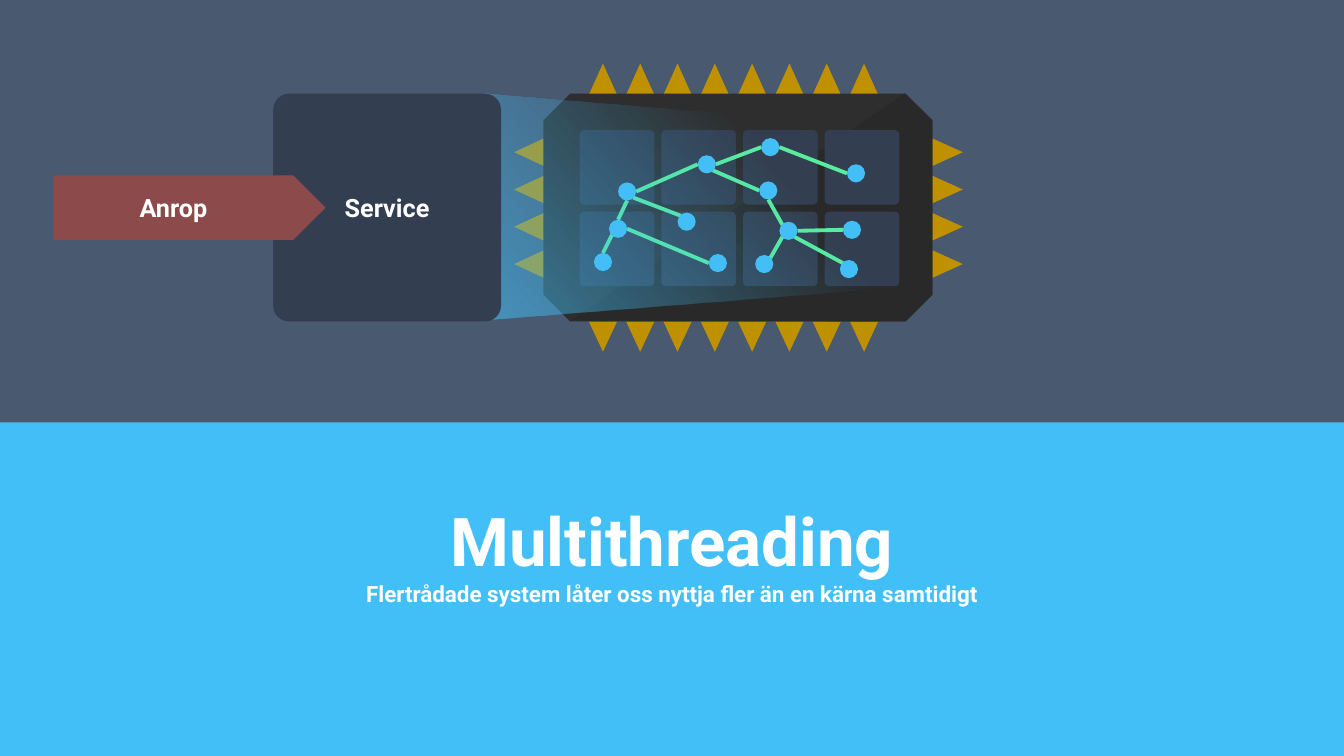
from lxml.etree import SubElement
from pptx import Presentation
from pptx.dml.color import RGBColor
from pptx.enum.shapes import MSO_CONNECTOR, MSO_SHAPE
from pptx.enum.text import MSO_ANCHOR, MSO_AUTO_SIZE, PP_ALIGN
from pptx.oxml.ns import qn
from pptx.util import Inches, Pt

SLATE = RGBColor(0x48, 0x59, 0x70)
NAVY = RGBColor(0x33, 0x3F, 0x50)
GOLD = RGBColor(0xBF, 0x90, 0x00)
CHIP = RGBColor(0x2E, 0x2E, 0x2E)
CHIP_SHADE = RGBColor(0x29, 0x29, 0x29)
GREEN = RGBColor(0x58, 0xEC, 0x9F)
SKY = RGBColor(0x43, 0xBF, 0xF7)
RED = RGBColor(0x8C, 0x4A, 0x4A)
WHITE = RGBColor(0xFF, 0xFF, 0xFF)

prs = Presentation()
prs.slide_width, prs.slide_height = Inches(13.33), Inches(7.5)
slide = prs.slides.add_slide(prs.slide_layouts[5])
slide.background.fill.solid()
slide.background.fill.fore_color.rgb = SLATE
shapes = slide.shapes


def add_filled(preset, left, top, width, height, color, adjustments=(), label=""):
    shape = shapes.add_shape(preset, *map(Inches, (left, top, width, height)))
    shape.shadow.inherit = False
    shape.fill.solid()
    shape.fill.fore_color.rgb = color
    shape.line.fill.background()
    for index, value in enumerate(adjustments):
        shape.adjustments[index] = value
    if label:
        shape.text_frame.text = label
        shape.text_frame.vertical_anchor = MSO_ANCHOR.MIDDLE
        paragraph = shape.text_frame.paragraphs[0]
        paragraph.alignment = PP_ALIGN.CENTER
        for name, value in dict(name="Roboto", size=Pt(18), bold=True).items():
            setattr(paragraph.font, name, value)
        paragraph.font.color.rgb = WHITE
    return shape


def add_outline(points, color):
    start, *rest = [(Inches(x), Inches(y)) for x, y in points]
    builder = shapes.build_freeform(*start)
    builder.add_line_segments(rest, close=True)
    shape = builder.convert_to_shape()
    shape.shadow.inherit = False
    shape.fill.solid()
    shape.fill.fore_color.rgb = color
    shape.line.fill.background()
    return shape


# Heading band
heading = shapes.title
heading.left, heading.top = Inches(0), Inches(4.19)
heading.width, heading.height = Inches(13.33), Inches(3.31)
heading.fill.solid()
heading.fill.fore_color.rgb = SKY
frame = heading.text_frame
frame.text = "Multithreading\nFlertrådade system låter oss nyttja fler än en kärna samtidigt"
frame.auto_size = MSO_AUTO_SIZE.NONE
frame.vertical_anchor = MSO_ANCHOR.MIDDLE
frame.margin_bottom = Inches(0.76)
for paragraph, size in zip(frame.paragraphs, (48, 16)):
    paragraph.alignment = PP_ALIGN.CENTER
    for name, value in dict(name="Roboto", size=Pt(size), bold=True).items():
        setattr(paragraph.font, name, value)
    paragraph.font.color.rgb = WHITE

# Chip pins: base and tip on each side
PITCH, HALF = 0.37, 0.14
for column in range(8):
    x = 5.98 + PITCH * column
    for base, tip in ((0.94, 0.63), (3.19, 3.49)):
        add_outline([(x - HALF, base), (x + HALF, base), (x, tip)], GOLD)
for row in range(4):
    y = 1.51 + PITCH * row
    for base, tip in ((5.4, 5.1), (9.24, 9.55)):
        add_outline([(base, y - HALF), (base, y + HALF), (tip, y)], GOLD)

# Chip body and cores
add_filled(MSO_SHAPE.OCTAGON, 5.39, 0.93, 3.86, 2.26, CHIP, [0.117])
add_outline([(5.66, 3.18), (8.97, 0.93), (9.24, 1.2), (9.24, 2.93), (8.97, 3.19)],
            CHIP_SHADE)
for row in range(2):
    for column in range(4):
        add_filled(MSO_SHAPE.ROUNDED_RECTANGLE, 5.75 + 0.81 * column,
                   1.29 + 0.81 * row, 0.74, 0.74, NAVY, [0.062])

# Thread tree: node centres, and edges between points on the node rims
RADIUS, DIAGONAL = 0.09, 0.06
RIM = {
    "left": (-RADIUS, 0), "right": (RADIUS, 0),
    "top": (0, -RADIUS), "bottom": (0, RADIUS),
    "top left": (-DIAGONAL, -DIAGONAL), "top right": (DIAGONAL, -DIAGONAL),
    "bottom left": (-DIAGONAL, DIAGONAL), "bottom right": (DIAGONAL, DIAGONAL),
}
NODES = {
    "root": (7.64, 1.46), "fork": (7.01, 1.63), "far": (8.49, 1.72),
    "west": (6.22, 1.9), "west fork": (6.13, 2.27), "west leaf": (6.81, 2.2),
    "low left": (5.98, 2.6), "low mid": (7.12, 2.61),
    "east": (7.62, 1.89), "east fork": (7.82, 2.29), "east leaf": (8.45, 2.28),
    "east low": (7.58, 2.62), "east far": (8.42, 2.67),
}
EDGES = [
    ("root", "left", "fork", "right"),
    ("root", "right", "far", "left"),
    ("fork", "left", "west", "right"),
    ("fork", "bottom right", "east", "left"),
    ("west", "bottom", "west fork", "top"),
    ("west", "bottom right", "west leaf", "top left"),
    ("west fork", "bottom left", "low left", "top"),
    ("west fork", "right", "low mid", "left"),
    ("east", "bottom", "east fork", "top left"),
    ("east fork", "bottom left", "east low", "top right"),
    ("east fork", "bottom right", "east far", "top left"),
    ("east fork", "right", "east leaf", "left"),
]
for parent, exit_side, child, entry_side in EDGES:
    ends = []
    for node, side in ((parent, exit_side), (child, entry_side)):
        ends += [Inches(c + d) for c, d in zip(NODES[node], RIM[side])]
    edge = shapes.add_connector(MSO_CONNECTOR.STRAIGHT, *ends)
    edge.line.color.rgb = GREEN
    edge.line.width = Pt(2.75)
    SubElement(edge._element.spPr, qn("a:effectLst"))
for x, y in NODES.values():
    add_filled(MSO_SHAPE.OVAL, x - RADIUS, y - RADIUS, 2 * RADIUS, 2 * RADIUS, SKY)

# Light beam from the service onto the chip
beam = add_outline([(4.81, 0.93), (8.88, 1.27), (8.95, 1.3), (8.98, 1.37),
                    (8.98, 2.75), (8.95, 2.82), (8.88, 2.85), (4.84, 3.17)], SKY)
beam.fill.gradient()
beam.fill.gradient_angle = 40
for stop, position, opacity in zip(beam.fill.gradient_stops, (0, 0.68), (56000, 0)):
    stop.position = position
    stop.color.rgb = SKY
for color, opacity in zip(beam._element.spPr.iter(qn("a:srgbClr")), (56000, 0)):
    SubElement(color, qn("a:alpha"), val=str(opacity))

# Service and incoming call
add_filled(MSO_SHAPE.ROUNDED_RECTANGLE, 2.71, 0.93, 2.26, 2.26, NAVY, [0.07], "Service")
add_filled(MSO_SHAPE.RIGHT_ARROW, 0.53, 1.74, 2.7, 0.64, RED, [1, 0.5], "Anrop")

prs.save("out.pptx")
